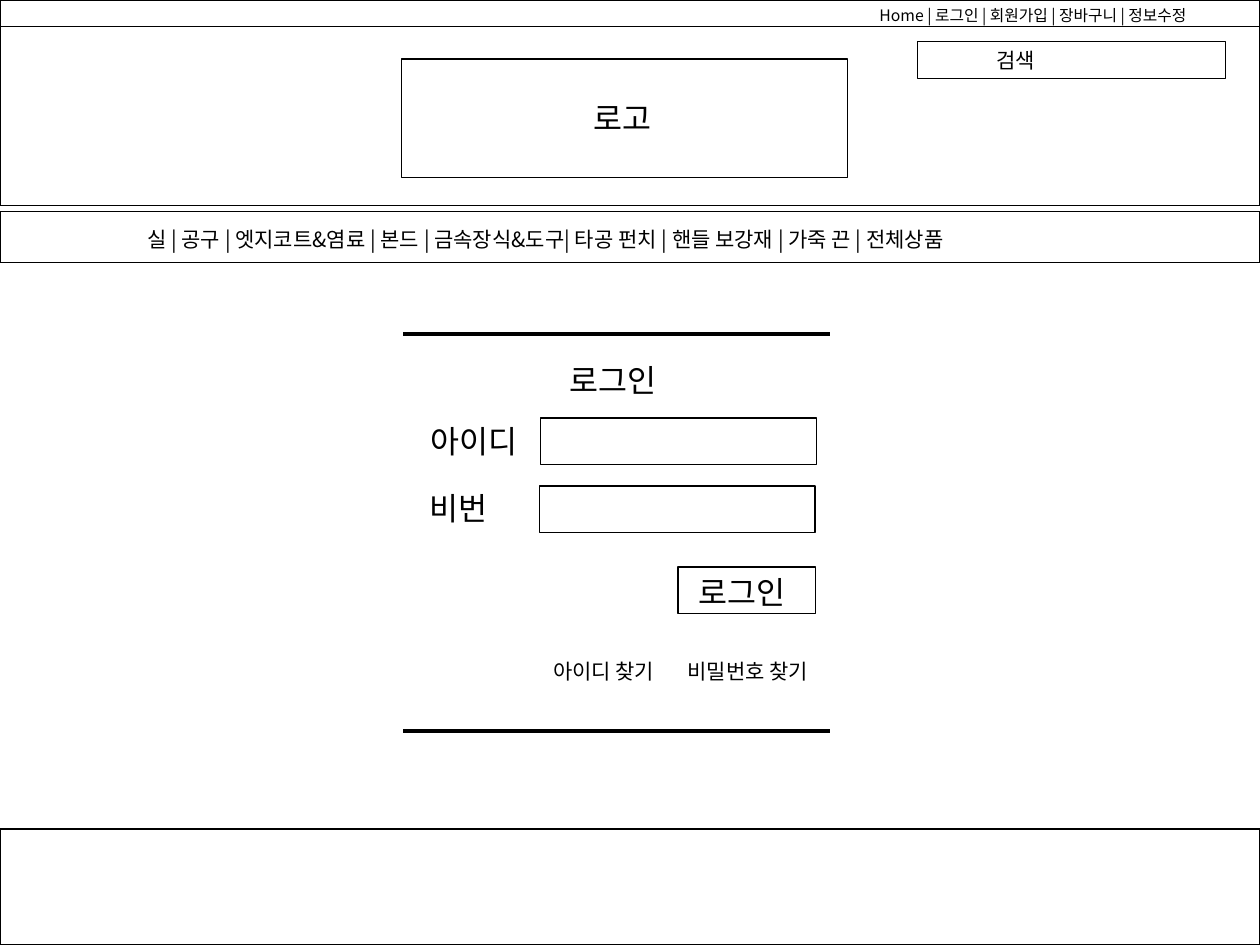
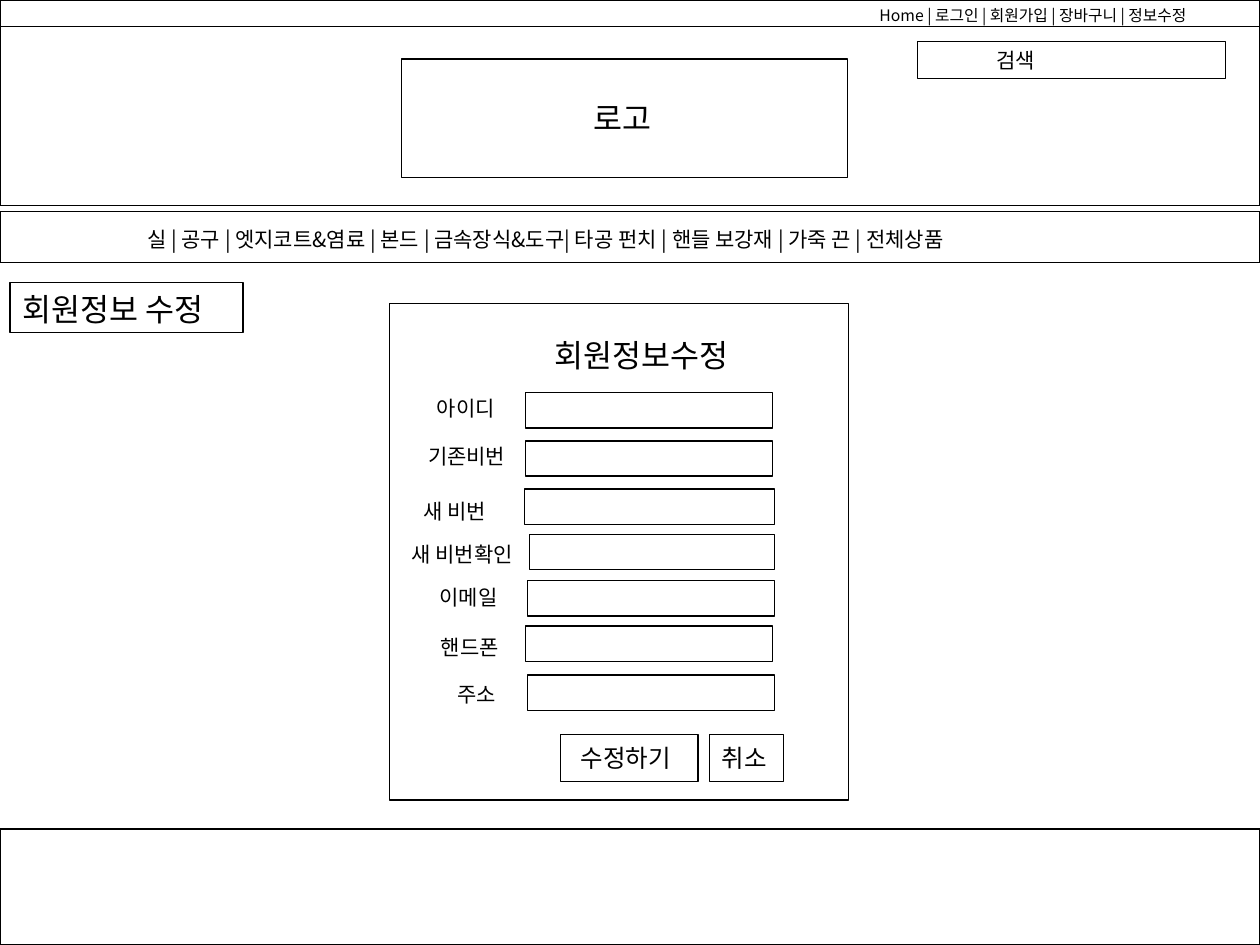
from pptx import Presentation
from pptx.dml.color import RGBColor
from pptx.enum.shapes import MSO_CONNECTOR, MSO_SHAPE
from pptx.enum.text import MSO_ANCHOR, MSO_AUTO_SIZE, PP_ALIGN
from pptx.oxml.ns import qn
from pptx.util import Cm, Pt

RECT = MSO_SHAPE.RECTANGLE
STRAIGHT = MSO_CONNECTOR.STRAIGHT
TOP = MSO_ANCHOR.TOP
LEFT = PP_ALIGN.LEFT
GROW = MSO_AUTO_SIZE.SHAPE_TO_FIT_TEXT

BLACK = "000000"
FONT = "Noto Sans CJK KR"
WIDTH, HEIGHT = 25.4, 19.05
TITLE_ONLY = 5
TEXT_HEIGHTS = {9: 1.42, 12: 0.76, 14: 0.86, 18: 1.02}
BUTTON_HEIGHT = 0.94

MENU = "Home | 로그인 | 회원가입 | 장바구니 | 정보수정"
CATEGORIES = ("실 | 공구 | 엣지코트&염료 | 본드 | 금속장식&도구| 타공 펀치 | "
              "핸들 보강재 | 가죽 끈 | 전체상품")

LOGIN_ROWS = [
    ("아이디", 8.43, 8.38, 2.44, 10.9, 8.43, 5.56),
    ("비번", 8.41, 9.73, 1.8, 10.87, 9.8, 5.56),
]
MEMBER_ROWS = [
    ("아이디", 8.56, 7.85, 1.8, 10.59, 7.92, 4.98),
    ("기존비번", 8.38, 8.81, 2.24, 10.59, 8.89, 4.98),
    ("새 비번", 8.28, 9.93, 1.96, 10.57, 9.86, 5.05),
    ("새 비번확인", 8.05, 10.8, 2.79, 10.67, 10.77, 4.95),
    ("이메일", 8.61, 11.66, 1.8, 10.64, 11.71, 4.98),
    ("핸드폰", 8.64, 12.67, 1.8, 10.59, 12.62, 4.98),
    ("주소", 8.97, 13.61, 1.37, 10.64, 13.61, 4.98),
]


def color(value):
    return RGBColor.from_string(value)


def add_box(s, x, y, w, h):
    sp = s.shapes.add_shape(RECT, Cm(x), Cm(y), Cm(w), Cm(h))
    sp.shadow.inherit = False
    sp.fill.background()
    sp.line.color.rgb = color(BLACK)
    sp.line.width = Pt(0.75)


def write(sp, text, size, wrap=False):
    tf = sp.text_frame
    tf.text = text
    tf.word_wrap = wrap
    tf.auto_size = GROW
    tf.vertical_anchor = TOP
    p = tf.paragraphs[0]
    p.alignment = LEFT
    r = p.runs[0]
    r.font.size = Pt(size)
    r.font.name = FONT
    r.font.color.rgb = color(BLACK)
    ea = r.font._element.makeelement(qn("a:ea"), {"typeface": FONT})
    r.font._element.append(ea)


def add_text(s, text, x, y, w, size=12, wrap=False):
    sp = s.shapes.add_textbox(Cm(x), Cm(y), Cm(w), Cm(TEXT_HEIGHTS[size]))
    write(sp, text, size, wrap)


def set_title(s, text, x, y, w):
    sp = s.shapes.title
    sp.left, sp.top, sp.width, sp.height = Cm(x), Cm(y), Cm(w), Cm(TEXT_HEIGHTS[18])
    write(sp, text, 18)


def add_rule(s, x1, x2, y):
    line = s.shapes.add_connector(STRAIGHT, Cm(x1), Cm(y), Cm(x2), Cm(y))
    line.line.color.rgb = color(BLACK)
    line.line.width = Pt(2.25)
    props = line._element.spPr
    props.append(props.makeelement(qn("a:effectLst"), {}))


def add_rows(s, rows, field_height, size):
    for label, label_x, label_y, label_w, field_x, field_y, field_w in rows:
        add_box(s, field_x, field_y, field_w, field_height)
        add_text(s, label, label_x, label_y, label_w, size)


def add_page(prs):
    s = prs.slides.add_slide(prs.slide_layouts[TITLE_ONLY])
    for y, h in [(0, 0.53), (0.53, 3.61), (4.27, 1.02), (16.71, 2.34)]:
        add_box(s, 0, y, WIDTH, h)
    add_text(s, MENU, 17.48, 0, 7.39, 9)
    add_box(s, 8.1, 1.19, 8.99, 2.39)
    add_text(s, "로고", 11.71, 1.88, 1.8, 18)
    add_box(s, 18.49, 0.84, 6.22, 0.74)
    add_text(s, "검색", 19.84, 0.84, 1.37)
    add_text(s, CATEGORIES, 2.72, 4.45, 19, wrap=True)
    return s


def build_login(prs):
    s = add_page(prs)
    set_title(s, "로그인", 11.23, 7.16, 2.44)
    add_rows(s, LOGIN_ROWS, BUTTON_HEIGHT, 18)
    add_box(s, 13.67, 11.43, 2.77, BUTTON_HEIGHT)
    add_text(s, "로그인", 13.84, 11.43, 2.44, 18)
    add_text(s, "아이디 찾기", 10.9, 13.16, 2.79)
    add_text(s, "비밀번호 찾기", 13.61, 13.16, 3.23)
    for y in (6.73, 14.73):
        add_rule(s, 8.13, 16.74, y)


def build_member_edit(prs):
    s = add_page(prs)
    add_box(s, 0.2, 5.69, 4.7, 1.02)
    add_text(s, "회원정보 수정", 0.2, 5.72, 4.7, 18, wrap=True)
    add_box(s, 7.85, 6.12, 9.25, 10.01)
    set_title(s, "회원정보수정", 10.92, 6.65, 4.37)
    add_rows(s, MEMBER_ROWS, 0.71, 12)
    add_box(s, 11.3, 14.81, 2.77, BUTTON_HEIGHT)
    add_text(s, "수정하기", 11.46, 14.86, 2.51, 14)
    add_box(s, 14.3, 14.81, 1.5, BUTTON_HEIGHT)
    add_text(s, "취소", 14.3, 14.86, 1.5, 14)


def main():
    prs = Presentation()
    prs.slide_width, prs.slide_height = Cm(WIDTH), Cm(HEIGHT)
    build_login(prs)
    build_member_edit(prs)
    prs.save("out.pptx")


main()
